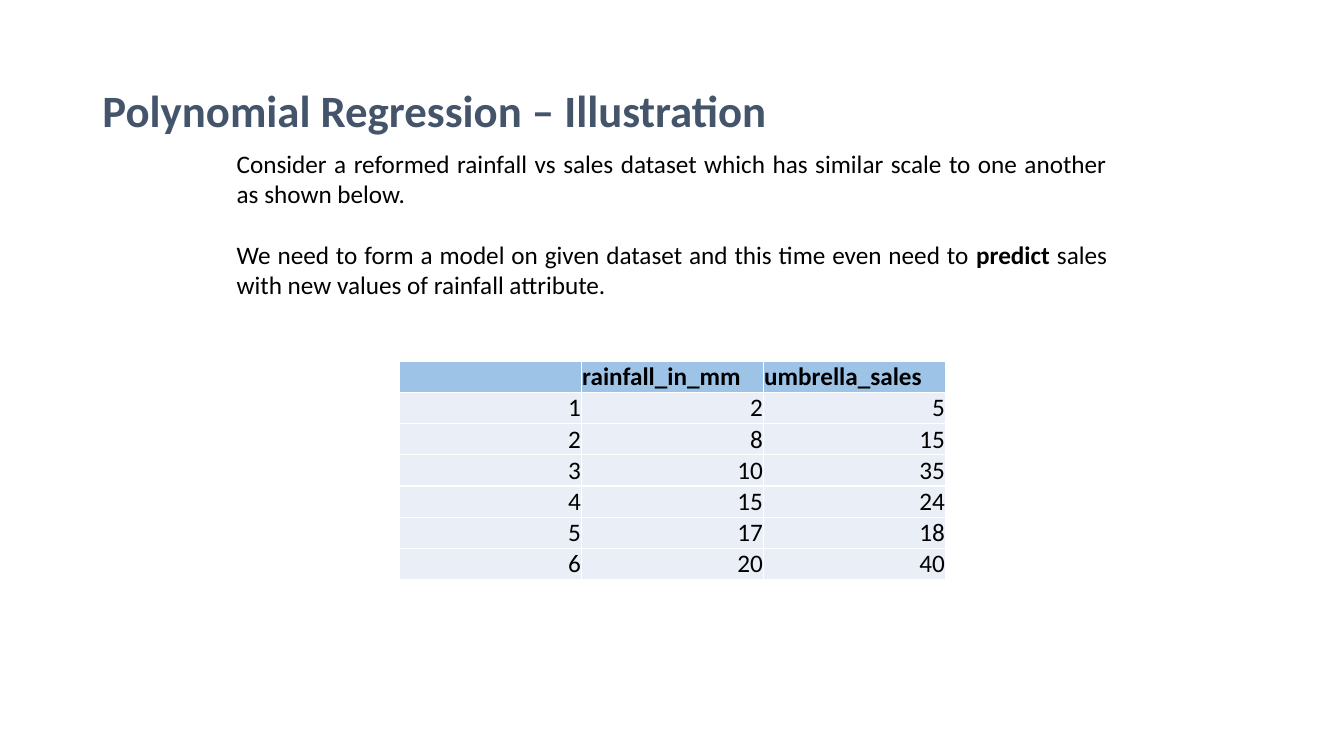
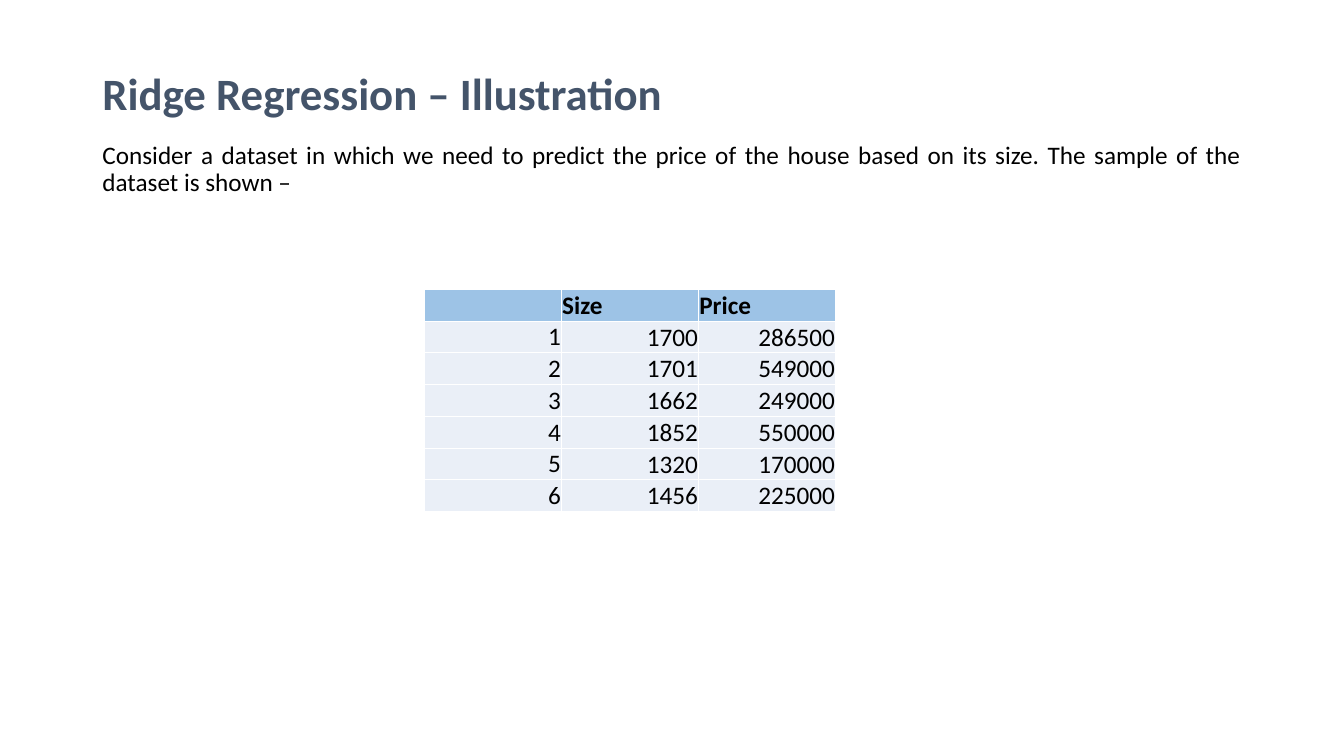
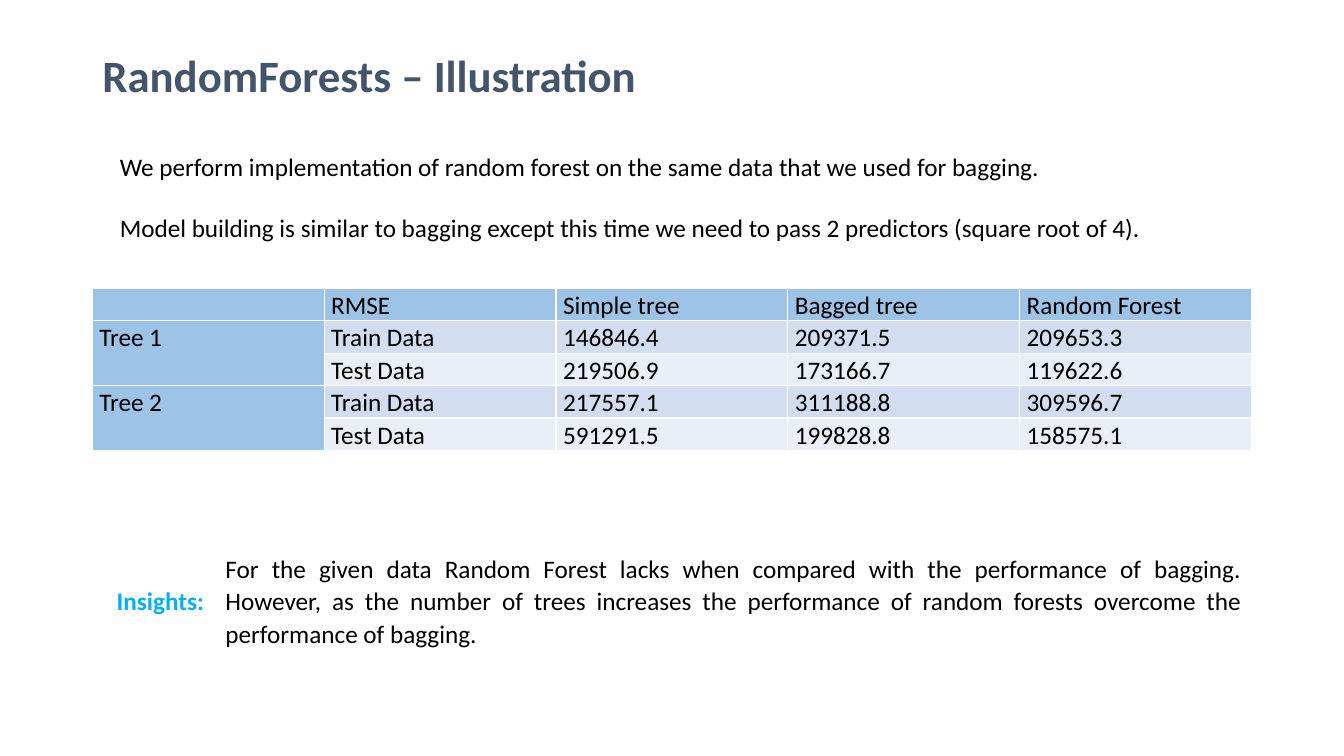
"""Build three slides that illustrate regression and random forests."""
from dataclasses import dataclass

from lxml.etree import SubElement
from pptx import Presentation
from pptx.dml.color import RGBColor
from pptx.enum.text import MSO_ANCHOR, MSO_AUTO_SIZE, PP_ALIGN
from pptx.oxml.ns import qn
from pptx.slide import Slide
from pptx.table import _Cell
from pptx.text.text import _Paragraph
from pptx.util import Pt

FONT = "Calibri"
SLATE = RGBColor(0x44, 0x54, 0x6A)
BLACK = RGBColor(0, 0, 0)
WHITE = RGBColor(0xFF, 0xFF, 0xFF)
CYAN = RGBColor(0x00, 0xB0, 0xF0)
HEAD = RGBColor(0x9D, 0xC3, 0xE6)
BAND = RGBColor(0xD2, 0xDE, 0xEF)
PALE = RGBColor(0xEA, 0xEF, 0xF7)
LEFT, WIDE = 66, 828


@dataclass(frozen=True)
class Box:
    """Place of an item in points."""
    left: float
    top: float
    width: float
    height: float


@dataclass(frozen=True)
class Look:
    """Style of a paragraph; text between bars is bold."""
    size: float = 18
    color: RGBColor = BLACK
    bold: bool = False
    align: PP_ALIGN = PP_ALIGN.LEFT
    line: float = 1.0
    gap: float = 0
    after: float = 0


@dataclass(frozen=True)
class Grid:
    """Table with its place, row height and cell style."""
    left: float
    top: float
    width: float
    high: float
    rows: list[tuple[str, ...]]
    side: float = 0.5
    pad: float = 0.4
    line: float = 1.0
    shades: tuple[RGBColor, ...] = (PALE,)
    data: bool = True


TITLE = Look(32, SLATE, True, PP_ALIGN.JUSTIFY, 0.9)


def style(para: _Paragraph, text: str, look: Look, gap: float) -> None:
    """Fill a paragraph and format its runs."""
    para.alignment, para.line_spacing = look.align, look.line
    para.space_before, para.space_after = Pt(gap), Pt(look.after)
    for i, part in enumerate(text.split("|")):
        if not part:
            continue
        run = para.add_run()
        run.text = part
        font = run.font
        font.name, font.size = FONT, Pt(look.size)
        font.bold = look.bold or i % 2 == 1
        font.color.rgb = look.color


def write(frame, texts: list[str], look: Look) -> None:
    """Write paragraphs set apart by the gap of the look."""
    for i, text in enumerate(texts):
        para = frame.add_paragraph() if i else frame.paragraphs[0]
        style(para, text, look, look.gap if i else 0)


def place(item, box: Box) -> None:
    """Move and size a shape."""
    item.left, item.top = Pt(box.left), Pt(box.top)
    item.width, item.height = Pt(box.width), Pt(box.height)


def start(deck, kind: int, title: str, top: float, high: float,
          anchor: MSO_ANCHOR = MSO_ANCHOR.BOTTOM) -> Slide:
    """Add a slide with its title."""
    slide = deck.slides.add_slide(deck.slide_layouts[kind])
    head = slide.shapes.title
    place(head, Box(LEFT, top, WIDE, high))
    frame = head.text_frame
    frame.auto_size, frame.vertical_anchor = MSO_AUTO_SIZE.NONE, anchor
    write(frame, [title], TITLE)
    return slide


def note(slide: Slide, box: Box, texts: list[str], look: Look,
         wrap: bool = True) -> None:
    """Add a text box."""
    item = slide.shapes.add_textbox(0, 0, 0, 0)
    frame = item.text_frame
    frame.word_wrap = wrap
    frame.auto_size = MSO_AUTO_SIZE.SHAPE_TO_FIT_TEXT
    place(item, box)
    write(frame, texts, look)


def body(slide: Slide, box: Box, text: str, look: Look) -> None:
    """Fill the body without a bullet."""
    item = slide.placeholders[1]
    place(item, box)
    frame = item.text_frame
    frame.auto_size = MSO_AUTO_SIZE.NONE
    write(frame, [text], look)
    prop = frame.paragraphs[0]._p.get_or_add_pPr()
    prop.set("marL", "0")
    prop.set("indent", "0")
    SubElement(prop, qn("a:buNone"))


def edge(cell: _Cell) -> None:
    """Draw white borders round a cell."""
    prop = cell._tc.get_or_add_tcPr()
    for i, name in enumerate(("a:lnL", "a:lnR", "a:lnT", "a:lnB")):
        line = prop.makeelement(qn(name), {"w": str(Pt(1))})
        fill = SubElement(line, qn("a:solidFill"))
        SubElement(fill, qn("a:srgbClr"), {"val": str(WHITE)})
        prop.insert(i, line)


def draw(slide: Slide, grid: Grid):
    """Draw a grid and return its table."""
    rows, cols = len(grid.rows), len(grid.rows[0])
    table = slide.shapes.add_table(
        rows, cols, Pt(grid.left), Pt(grid.top),
        Pt(grid.width), Pt(grid.high * rows)).table
    table.first_row = table.horz_banding = False
    for col in table.columns:
        col.width = Pt(grid.width / cols)
    for r, texts in enumerate(grid.rows):
        table.rows[r].height = Pt(grid.high)
        for c, text in enumerate(texts):
            cell = table.cell(r, c)
            cell.margin_left = cell.margin_right = Pt(grid.side)
            cell.margin_top, cell.margin_bottom = Pt(grid.pad), 0
            cell.fill.solid()
            top = r == 0 or (c == 0 and not grid.data)
            cell.fill.fore_color.rgb = (
                HEAD if top else grid.shades[(r - 1) % len(grid.shades)])
            if grid.data:
                cell.vertical_anchor = (
                    MSO_ANCHOR.MIDDLE if r and not c else MSO_ANCHOR.BOTTOM)
            align = PP_ALIGN.RIGHT if grid.data and r else PP_ALIGN.LEFT
            look = Look(bold=grid.data and r == 0, align=align, line=grid.line)
            write(cell.text_frame, [text], look)
            edge(cell)
    return table


def main() -> None:
    """Build and save the deck."""
    deck = Presentation()
    deck.slide_width, deck.slide_height = Pt(960), Pt(540)

    slide = start(deck, 5, "Polynomial Regression – Illustration",
                  29, 104, MSO_ANCHOR.MIDDLE)
    note(slide, Box(162, 102.4, 635.8, 138), [
        "Consider a reformed rainfall vs sales dataset which has similar "
        "scale to one another as shown below.",
        "We need to form a model on given dataset and this time even need "
        "to |predict |sales with new values of rainfall attribute.",
    ], Look(align=PP_ALIGN.JUSTIFY, gap=22))
    draw(slide, Grid(285.4, 258, 390, 22.3, [
        ("", "rainfall_in_mm", "umbrella_sales"),
        ("1", "2", "5"),
        ("2", "8", "15"),
        ("3", "10", "35"),
        ("4", "15", "24"),
        ("5", "17", "18"),
        ("6", "20", "40"),
    ]))

    slide = start(deck, 1, "Ridge Regression – Illustration", 29, 60.5)
    body(slide, Box(LEFT, 98, WIDE, 343),
         "Consider a dataset in which we need to predict the price of the "
         "house based on its size. The sample of the dataset is shown –",
         Look(align=PP_ALIGN.JUSTIFY, line=0.9))
    draw(slide, Grid(303.2, 206.7, 293.8, 22.7, [
        ("", "Size", "Price"),
        ("1", "1700", "286500"),
        ("2", "1701", "549000"),
        ("3", "1662", "249000"),
        ("4", "1852", "550000"),
        ("5", "1320", "170000"),
        ("6", "1456", "225000"),
    ]))

    slide = start(deck, 5, "RandomForests – Illustration", 16, 60.5)
    note(slide, Box(78.5, 104.4, 748, 72.7), [
        "We perform implementation of random forest on the same data that "
        "we used for bagging.",
        "Model building is similar to bagging except this time we need to "
        "pass 2 predictors (square root of 4).",
    ], Look(gap=22), False)
    table = draw(slide, Grid(LEFT, 206, WIDE, 23, [
        ("", "RMSE", "Simple tree", "Bagged tree", "Random Forest"),
        ("Tree 1", "Train Data", "146846.4", "209371.5", "209653.3"),
        ("", "Test Data", "219506.9", "173166.7", "119622.6"),
        ("Tree 2", "Train Data", "217557.1", "311188.8", "309596.7"),
        ("", "Test Data", "591291.5", "199828.8", "158575.1"),
    ], 5, 0, 1.07, (BAND, PALE), False))
    for r in (1, 3):
        table.cell(r, 0).merge(table.cell(r + 1, 0))
    note(slide, Box(76.3, 414.7, 77, 29), ["Insights:"],
         Look(color=CYAN, bold=True), False)
    note(slide, Box(154, 390.2, 740, 77), [
        "For the given data Random Forest lacks when compared with the "
        "performance of bagging. However, as the number of trees increases "
        "the performance of random forests overcome the performance of "
        "bagging.",
    ], Look(align=PP_ALIGN.JUSTIFY, line=1.07, after=8))

    deck.save("out.pptx")


if __name__ == "__main__":
    main()
